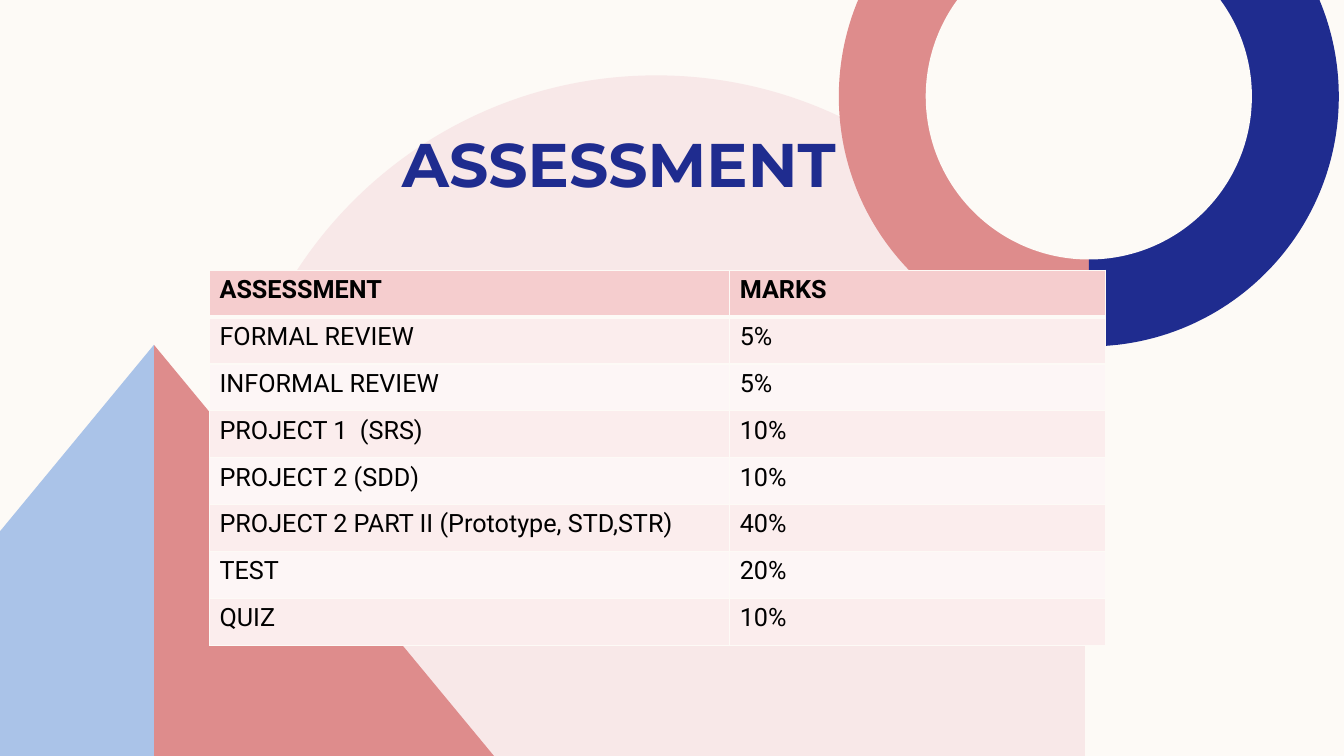
import math

from lxml import etree
from pptx import Presentation
from pptx import util as u
from pptx.dml.color import RGBColor
from pptx.enum import text
from pptx.oxml import ns

CREAM = RGBColor(0xFD, 0xFA, 0xF6)
BLUSH = RGBColor(0xF8, 0xE8, 0xE8)
ROSE = RGBColor(0xDE, 0x8C, 0x8C)
NAVY = RGBColor(0x1F, 0x2C, 0x8F)
SKY = RGBColor(0xAA, 0xC3, 0xE8)
BLACK = RGBColor(0, 0, 0)
HEADER_PINK = RGBColor(0xF5, 0xCD, 0xCE)
BAND_DARK = RGBColor(0xFB, 0xED, 0xED)
BAND_LIGHT = RGBColor(0xFD, 0xF6, 0xF6)

WIDTH, HEIGHT = 33.87, 19.05

MARKS = [
    ("ASSESSMENT", "MARKS"),
    ("FORMAL REVIEW", "5%"),
    ("INFORMAL REVIEW", "5%"),
    ("PROJECT 1  (SRS)", "10%"),
    ("PROJECT 2 (SDD)", "10%"),
    ("PROJECT 2 PART II (Prototype, STD,STR)", "40%"),
    ("TEST", "20%"),
    ("QUIZ", "10%"),
]


def arc(center_x, center_y, radius, *degrees):
    def spot(angle, offset=0):
        cosine, sine = math.cos(angle), math.sin(angle)
        return (center_x + radius * (cosine - offset * sine),
                center_y + radius * (sine + offset * cosine))

    angles = [math.radians(degree) for degree in degrees]
    segments = [(spot(angles[0]),)]
    for start, end in zip(angles, angles[1:]):
        reach = 4 / 3 * math.tan((end - start) / 4)
        segments.append((spot(start, reach), spot(end, -reach), spot(end)))
    return segments


def corners(*points):
    return [(point,) for point in points]


class SlideBuilder:
    title_font = "Montserrat"
    body_font = "Roboto"

    def __init__(self, deck):
        self.page = deck.slides.add_slide(deck.slide_layouts[6])
        self.page.background.fill.solid()
        self.page.background.fill.fore_color.rgb = CREAM

    def outline(self, segments, color):
        points = [(u.Cm(x), u.Cm(y)) for segment in segments for x, y in segment]
        builder = self.page.shapes.build_freeform(*points[0])
        builder.add_line_segments(points[1:], close=True)
        shape = builder.convert_to_shape()
        shape.shadow.inherit = False
        shape.fill.solid()
        shape.fill.fore_color.rgb = color
        shape.line.fill.background()
        self.bend(shape, segments[1:])

    def bend(self, shape, segments):
        steps = iter(list(shape.element.iter(ns.qn("a:lnTo"))))
        for segment in segments:
            first, *rest = [next(steps) for _ in segment]
            if rest:
                curve = etree.Element(ns.qn("a:cubicBezTo"))
                first.addprevious(curve)
                for step in (first, *rest):
                    curve.append(step[0])
                    step.getparent().remove(step)

    def style(self, para, font, size, color, bold):
        para.font.name = font
        para.font.size = u.Pt(size)
        para.font.color.rgb = color
        para.font.bold = bold

    def title(self, words, left, top, width, height):
        box = self.page.shapes.add_textbox(u.Cm(left), u.Cm(top), u.Cm(width), u.Cm(height))
        frame = box.text_frame
        frame.word_wrap = True
        frame.vertical_anchor = text.MSO_ANCHOR.MIDDLE
        para = frame.paragraphs[0]
        para.text = words
        para.alignment = text.PP_ALIGN.CENTER
        self.style(para, self.title_font, 44, NAVY, True)

    def borders(self, cell, top, bottom):
        properties = cell._tc.get_or_add_tcPr()
        for side, width in (("L", 1), ("R", 1), ("T", top), ("B", bottom)):
            line = etree.SubElement(properties, ns.qn(f"a:ln{side}"), w=str(u.Pt(width)))
            fill = etree.SubElement(line, ns.qn("a:solidFill"))
            etree.SubElement(fill, ns.qn("a:srgbClr"), val=str(CREAM))

    def table(self, rows, left, top, widths, height):
        frame = self.page.shapes.add_table(
            len(rows), len(widths), u.Cm(left), u.Cm(top), u.Cm(sum(widths)), u.Cm(height))
        grid = frame.table
        for column, width in zip(grid.columns, widths):
            column.width = u.Cm(width)
        for number, row in enumerate(rows):
            header = number == 0
            color = HEADER_PINK if header else BAND_DARK if number % 2 else BAND_LIGHT
            for position, words in enumerate(row):
                cell = grid.cell(number, position)
                self.borders(cell, 3 if number == 1 else 1, 3 if header else 1)
                cell.fill.solid()
                cell.fill.fore_color.rgb = color
                para = cell.text_frame.paragraphs[0]
                para.text = words
                self.style(para, self.body_font, 18, BLACK, header)


def main():
    deck = Presentation()
    deck.slide_width, deck.slide_height = u.Cm(WIDTH), u.Cm(HEIGHT)
    slide = SlideBuilder(deck)

    arch_x, arch_y, arch_radius = 16.54, 12.7, 10.8
    feet = corners((arch_x + arch_radius, HEIGHT), (arch_x - arch_radius, HEIGHT))
    slide.outline(arc(arch_x, arch_y, arch_radius, 180, 270, 360) + feet, BLUSH)

    ring_x, ring_y, outer, inner = 27.44, 2.43, 6.3, 4.11
    outer_rise = math.degrees(math.asin(ring_y / outer))
    inner_rise = math.degrees(math.asin(ring_y / inner))
    for side, end, color in ((180, 180 + outer_rise, ROSE), (0, -outer_rise, NAVY)):
        half = arc(ring_x, ring_y, outer, 90, side, end)
        slide.outline(half + corners((ring_x, 0)), color)
    slide.outline(arc(ring_x, ring_y, inner, -inner_rise, 0, 90, 180, 180 + inner_rise), CREAM)

    peak = (3.88, 8.69)
    foot = (peak[0], HEIGHT)
    slide.outline(corners(peak, (12.45, HEIGHT), foot), ROSE)
    slide.outline(corners(peak, foot, (0, HEIGHT), (0, 13.39)), SKY)

    slide.title("ASSESSMENT", 6.71, 3.05, 17.78, 2.13)
    slide.table(MARKS, 5.28, 6.81, (13.11, 9.47), 9.45)
    deck.save("out.pptx")


if __name__ == "__main__":
    main()
